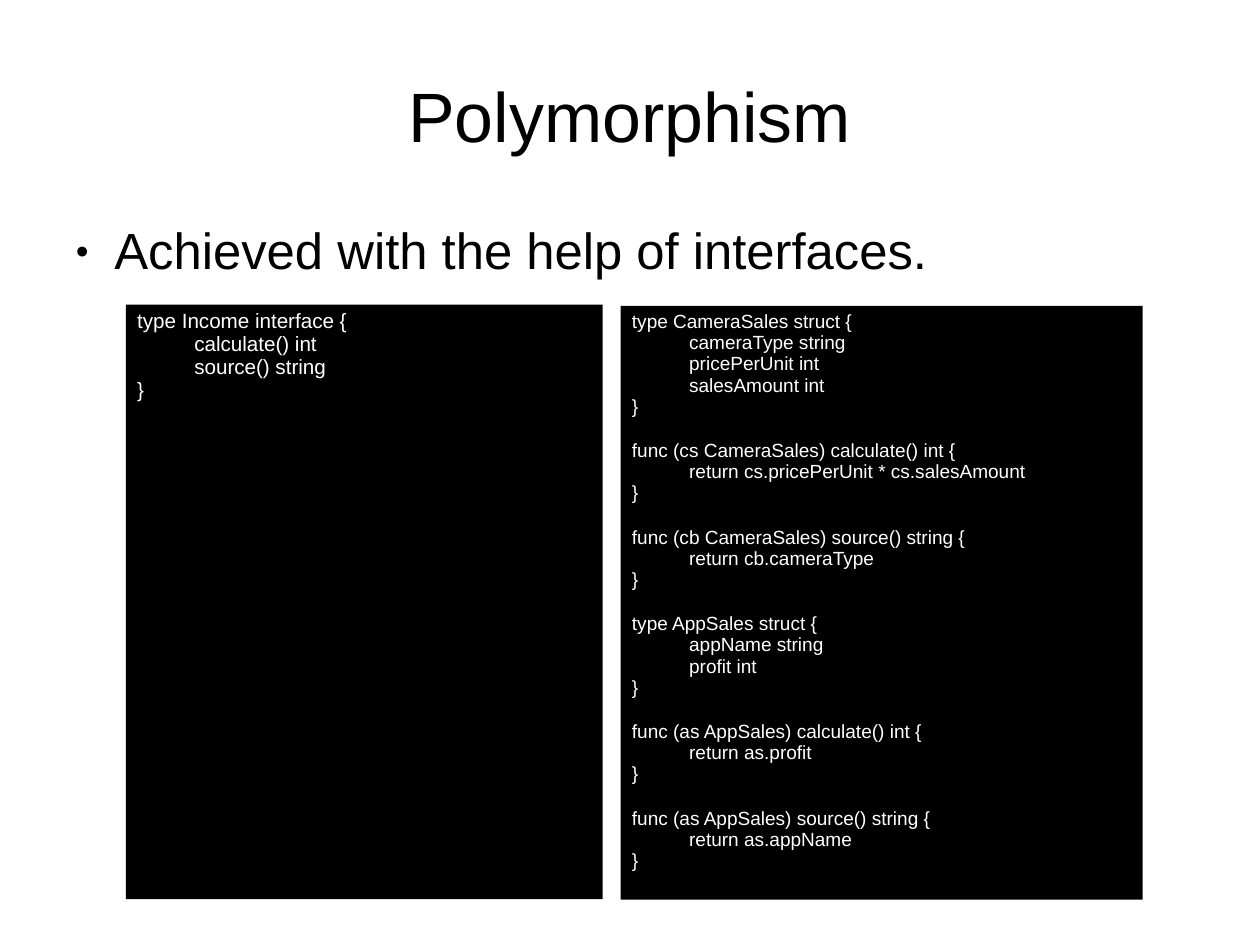
"""Build the Polymorphism slide with two Go code panels."""
from copy import deepcopy
from dataclasses import dataclass

from lxml.etree import SubElement
from pptx import Presentation
from pptx.dml.color import RGBColor
from pptx.enum.shapes import MSO_SHAPE as Preset
from pptx.enum.text import MSO_ANCHOR as Anchor, MSO_AUTO_SIZE as AutoSize, PP_ALIGN as Align
from pptx.oxml.ns import qn
from pptx.slide import Slide
from pptx.text.text import TextFrame, _Paragraph as Paragraph
from pptx.util import Pt

BLACK, WHITE = "000000", "FFFFFF"
LINE_SPACING = 0.93
BLOCK_GAP = 14.4
TAB_WIDTH = 36


@dataclass(frozen=True)
class Box:
    left: float
    top: float
    width: float
    height: float

    def lengths(self) -> tuple[Pt, Pt, Pt, Pt]:
        return Pt(self.left), Pt(self.top), Pt(self.width), Pt(self.height)


@dataclass(frozen=True)
class CodePanel:
    box: Box
    size: float
    blocks: tuple[str, ...]


TITLE_BOX = Box(39.6, 23.8, 714.4, 99.4)
BODY_BOX = Box(39.6, 139, 714.4, 345.6)
PANELS = (
    CodePanel(Box(79.3, 192, 300.4, 374.5), 13, (
        "type Income interface {\n\tcalculate() int\n\tsource() string\n}",
    )),
    CodePanel(Box(391, 192.6, 328.8, 374.1), 12, (
        "type CameraSales struct {\n\tcameraType string\n\tpricePerUnit int\n\tsalesAmount int\n}",
        "func (cs CameraSales) calculate() int {\n\treturn cs.pricePerUnit * cs.salesAmount\n}",
        "func (cb CameraSales) source() string {\n\treturn cb.cameraType\n}",
        "type AppSales struct {\n\tappName string\n\tprofit int\n}",
        "func (as AppSales) calculate() int {\n\treturn as.profit\n}",
        "func (as AppSales) source() string {\n\treturn as.appName\n}",
    )),
)


def color(value: str) -> RGBColor:
    return RGBColor.from_string(value)


def format_paragraph(paragraph: Paragraph, size: float, text_color: str, align: Align) -> None:
    paragraph.alignment = align
    paragraph.line_spacing = LINE_SPACING
    paragraph.space_before = paragraph.space_after = Pt(0)
    for run in paragraph.runs:
        run.font.name = "Arial"
        run.font.size = Pt(size)
        run.font.color.rgb = color(text_color)
    for line_break in paragraph._p.findall(qn("a:br")):
        line_break.append(deepcopy(paragraph.runs[0]._r.rPr))


def format_frame(frame: TextFrame, anchor: Anchor, side: float, top: float, bottom: float) -> None:
    frame.word_wrap = True
    frame.auto_size = AutoSize.NONE
    frame.vertical_anchor = anchor
    frame.margin_left = frame.margin_right = Pt(side)
    frame.margin_top, frame.margin_bottom = Pt(top), Pt(bottom)


def add_bullet(paragraph: Paragraph) -> None:
    properties = paragraph._p.get_or_add_pPr()
    properties.set("marL", str(Pt(32.4)))
    properties.set("indent", str(Pt(-24.5)))
    bullet_color = SubElement(properties, qn("a:buClr"))
    SubElement(bullet_color, qn("a:srgbClr"), val=BLACK)
    SubElement(properties, qn("a:buSzPct"), val="45000")
    SubElement(properties, qn("a:buFont"), typeface="Arial")
    SubElement(properties, qn("a:buChar"), char="●")


def add_tab_stop(paragraph: Paragraph) -> None:
    tabs = SubElement(paragraph._p.get_or_add_pPr(), qn("a:tabLst"))
    SubElement(tabs, qn("a:tab"), pos=str(Pt(TAB_WIDTH)), algn="l")


def fill_placeholders(slide: Slide) -> None:
    title, body = slide.shapes.title, slide.placeholders[1]
    for shape, box in ((title, TITLE_BOX), (body, BODY_BOX)):
        shape.left, shape.top, shape.width, shape.height = box.lengths()
    title.text_frame.text = "Polymorphism"
    format_frame(title.text_frame, Anchor.MIDDLE, 0, 2.9, 0)
    format_paragraph(title.text_frame.paragraphs[0], 44, BLACK, Align.CENTER)
    body.text_frame.text = "Achieved with the help of interfaces."
    format_frame(body.text_frame, Anchor.TOP, 0, 2.2, 0)
    paragraph = body.text_frame.paragraphs[0]
    add_bullet(paragraph)
    format_paragraph(paragraph, 32, BLACK, Align.LEFT)


def add_code_panel(slide: Slide, panel: CodePanel) -> None:
    shape = slide.shapes.add_shape(Preset.RECTANGLE, *panel.box.lengths())
    shape.shadow.inherit = False
    shape.fill.solid()
    shape.fill.fore_color.rgb = color(BLACK)
    shape.line.fill.background()
    frame = shape.text_frame
    format_frame(frame, Anchor.TOP, 7.2, 3.6, 3.6)
    for index, block in enumerate(panel.blocks):
        paragraph = frame.add_paragraph() if index else frame.paragraphs[0]
        paragraph.text = block
        add_tab_stop(paragraph)
        format_paragraph(paragraph, panel.size, WHITE, Align.LEFT)
        if index:
            paragraph.space_before = Pt(BLOCK_GAP)


def main() -> None:
    presentation = Presentation()
    presentation.slide_width, presentation.slide_height = Pt(793.7), Pt(595.28)
    slide = presentation.slides.add_slide(presentation.slide_layouts[1])
    fill_placeholders(slide)
    for panel in PANELS:
        add_code_panel(slide, panel)
    presentation.save("out.pptx")


if __name__ == "__main__":
    main()
